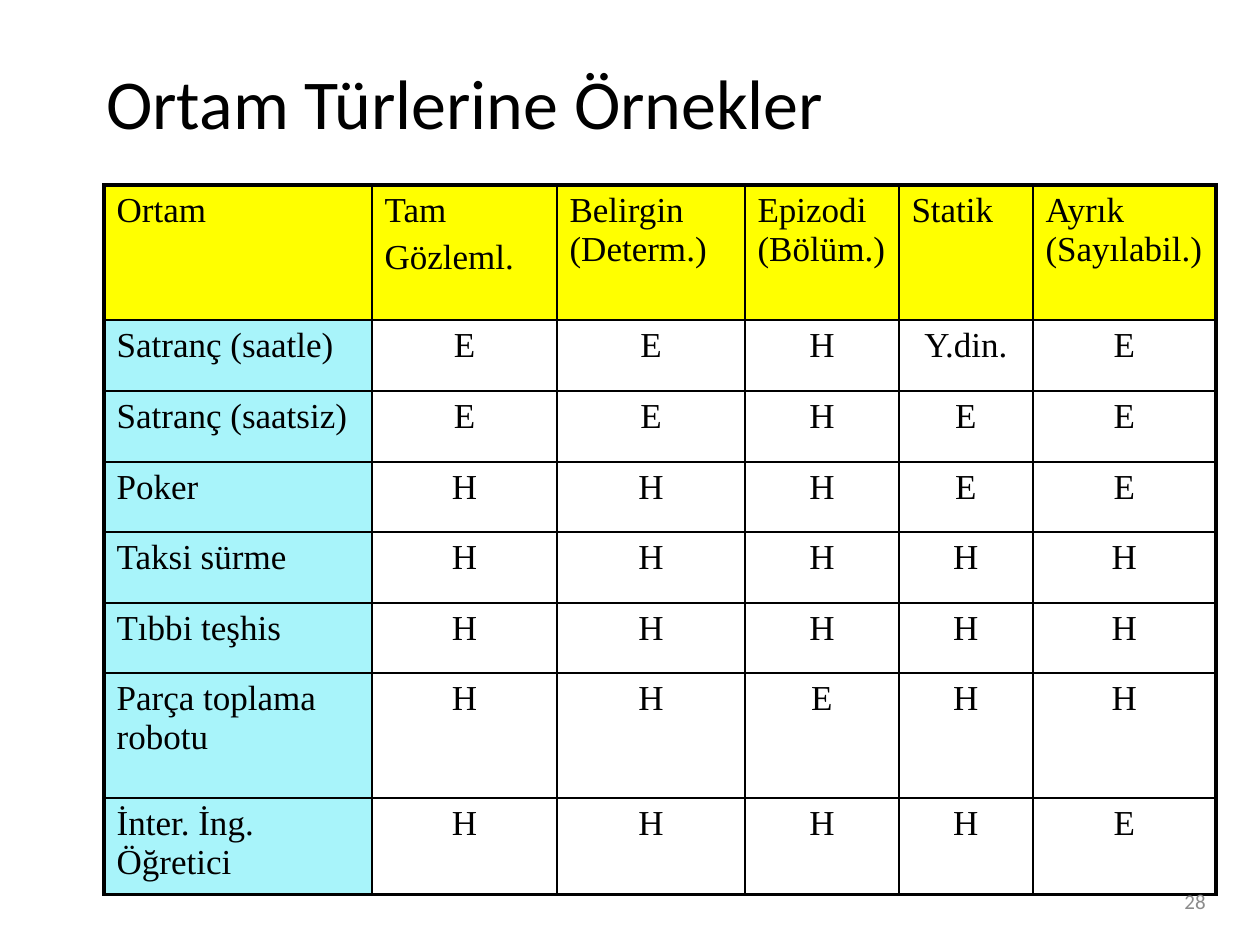
from lxml import etree
from pptx import Presentation
from pptx import util as u
from pptx.dml.color import RGBColor
from pptx.enum import text
from pptx.oxml import ns

PIXEL = u.Inches(1) / 126
COLORS = {"ink": "000000", "header": "FFFF00", "label": "A8F4FA",
          "body": "FFFFFF", "number": "8C8C8C"}
COLUMNS = [268, 185, 188, 154, 134, 183]
ROWS = [135, 71, 71, 70, 71, 70, 125, 90]
HEADER = ["Ortam", "Tam\nGözleml.", "Belirgin (Determ.)",
          "Epizodi (Bölüm.)", "Statik", "Ayrık (Sayılabil.)"]
ENVIRONMENTS = [
    ("Satranç (saatle)", "E E H Y.din. E"),
    ("Satranç (saatsiz)", "E E H E E"),
    ("Poker", "H H H E E"),
    ("Taksi sürme", "H H H H H"),
    ("Tıbbi teşhis", "H H H H H"),
    ("Parça toplama robotu", "H H E H H"),
    ("İnter. İng. Öğretici", "H H H H E"),
]


def px(length):
    return u.Emu(round(length * PIXEL))


def color(name):
    return RGBColor.from_string(COLORS[name])


def write(frame, content, size, font, ink="ink", align=text.PP_ALIGN.LEFT):
    frame.word_wrap = True
    frame.text = content
    for index, paragraph in enumerate(frame.paragraphs):
        paragraph.alignment = align
        if index:
            paragraph.space_before = u.Pt(4.4)
        for name, value in {"size": u.Pt(size), "name": font}.items():
            setattr(paragraph.runs[0].font, name, value)
        paragraph.runs[0].font.color.rgb = color(ink)


def add_label(slide, box, content, **style):
    shape = slide.shapes.add_textbox(*map(px, box))
    write(shape.text_frame, content, font="Calibri", **style)
    shape.text_frame.vertical_anchor = text.MSO_ANCHOR.MIDDLE


def set_borders(cell, widths):
    """Draw the cell edges; borders must precede the fill in the XML."""
    properties = cell._tc.get_or_add_tcPr()
    for index, (side, width) in enumerate(widths.items()):
        line = etree.Element(ns.qn(f"a:ln{side}"), w=str(u.Pt(width)))
        fill = etree.SubElement(line, ns.qn("a:solidFill"))
        etree.SubElement(fill, ns.qn("a:srgbClr"), val=COLORS["ink"])
        properties.insert(index, line)


def add_environment_table(slide, left, top):
    rows = [HEADER] + [[name, *marks.split()] for name, marks in ENVIRONMENTS]
    frame = slide.shapes.add_table(len(ROWS), len(COLUMNS), px(left), px(top),
                                   px(sum(COLUMNS)), px(sum(ROWS)))
    table = frame.table
    for column, width in zip(table.columns, COLUMNS):
        column.width = px(width)
    for row, height in zip(table.rows, ROWS):
        row.height = px(height)

    last_row, last_column = len(ROWS) - 1, len(COLUMNS) - 1
    for r, values in enumerate(rows):
        for c, value in enumerate(values):
            cell = table.cell(r, c)
            is_mark = r > 0 and c > 0
            align = text.PP_ALIGN.CENTER if is_mark else text.PP_ALIGN.LEFT
            write(cell.text_frame, value, 20, "Times New Roman", align=align)
            cell.fill.solid()
            fill = "header" if r == 0 else "label" if c == 0 else "body"
            cell.fill.fore_color.rgb = color(fill)
            # Outer edges are heavier than the inner grid
            outer = {"L": c == 0, "R": c == last_column,
                     "T": r == 0, "B": r == last_row}
            set_borders(cell, {side: 2.25 if edge else 1
                               for side, edge in outer.items()})


def build_slide(presentation):
    slide = presentation.slides.add_slide(presentation.slide_layouts[6])
    # Title
    add_label(slide, (94, 35, 1071, 132), "Ortam Türlerine Örnekler", size=40)
    # Table of environments
    add_environment_table(slide, 104, 185)
    # Slide number
    add_label(slide, (924, 876, 294, 50), "28", size=12, ink="number",
              align=text.PP_ALIGN.RIGHT)


presentation = Presentation()
presentation.slide_width = px(1260)
presentation.slide_height = px(945)
build_slide(presentation)
presentation.save("out.pptx")
